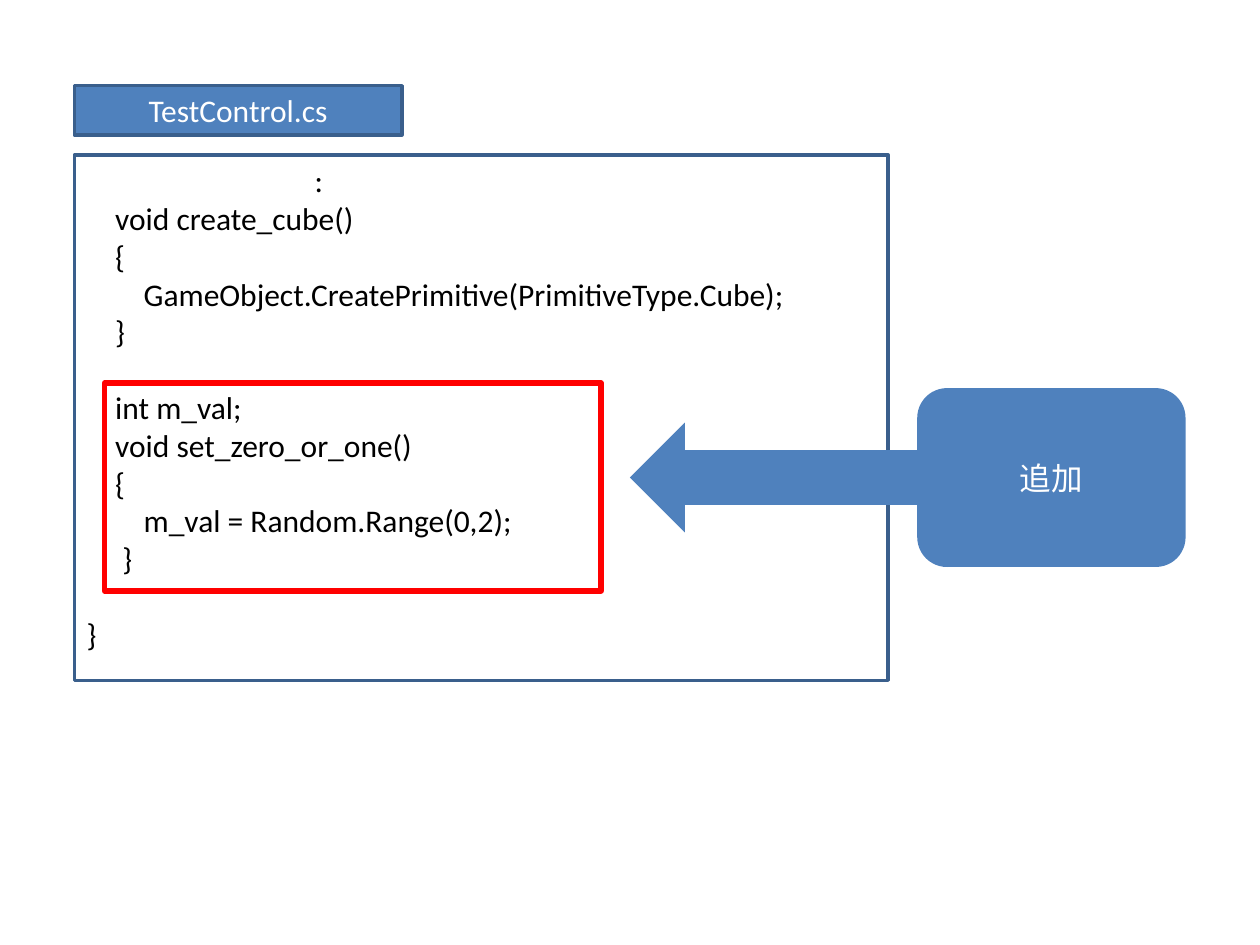
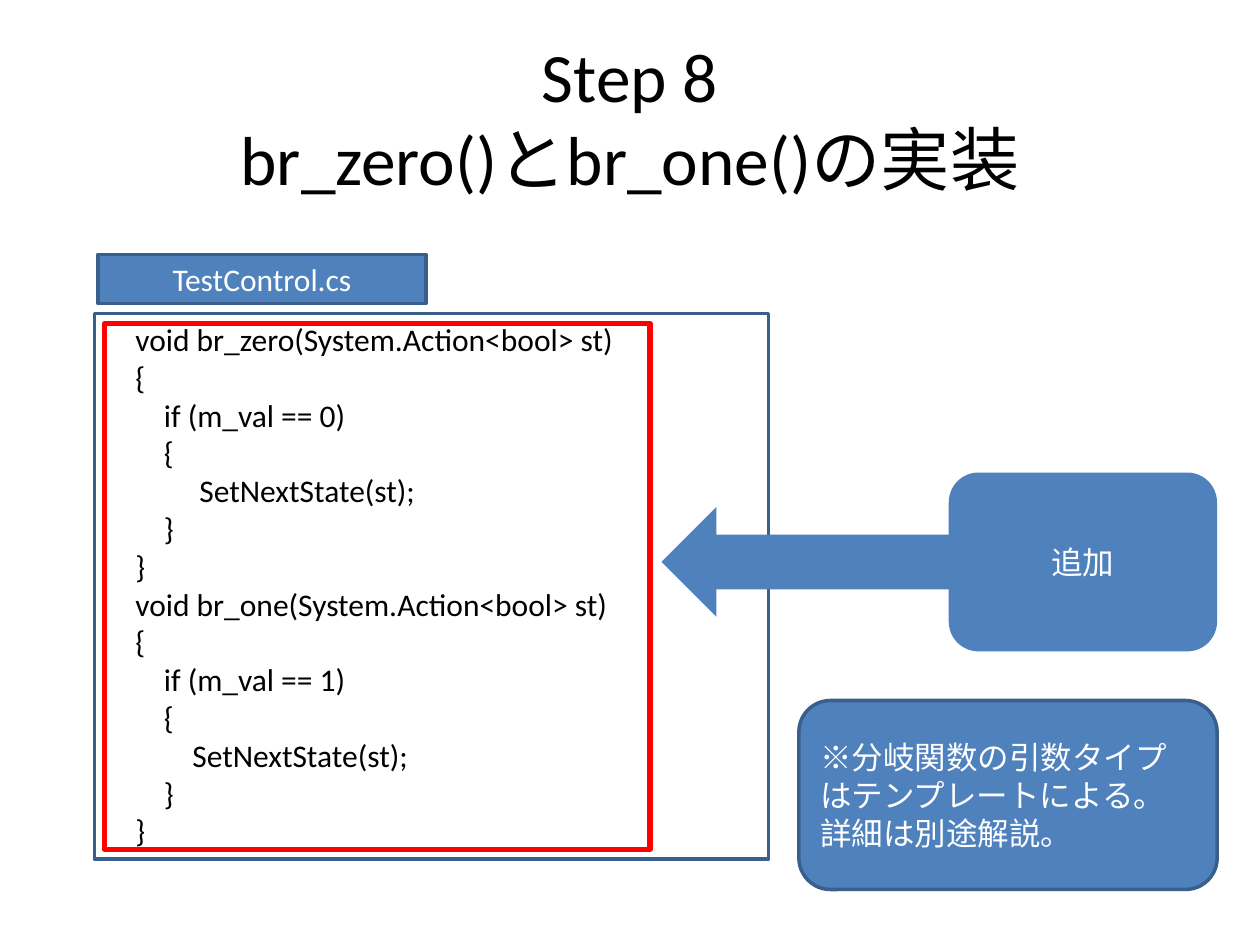
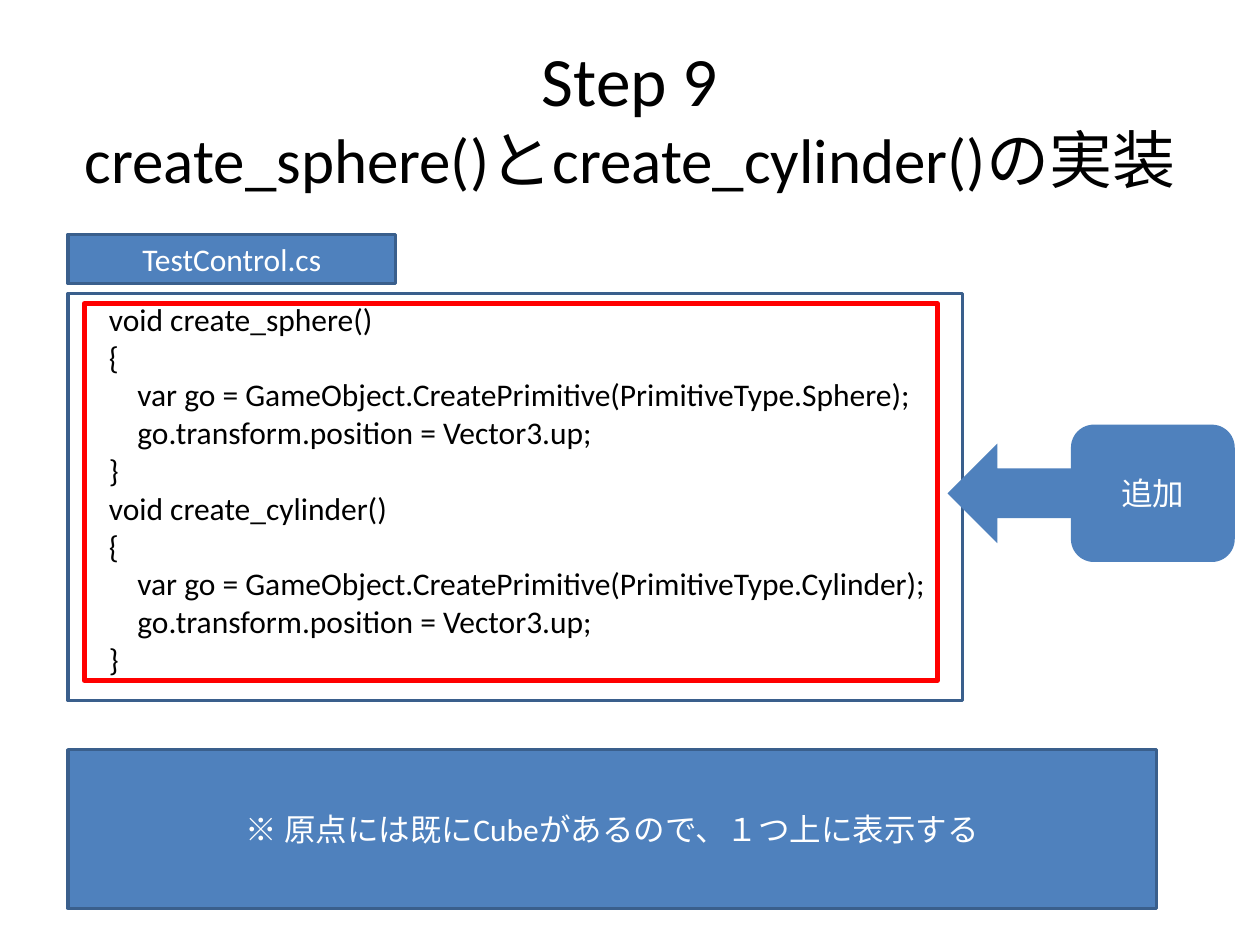
from dataclasses import dataclass
from typing import NamedTuple, Optional

from pptx import Presentation
from pptx.dml.color import RGBColor
from pptx.enum.shapes import MSO_SHAPE as Preset
from pptx.enum.text import MSO_ANCHOR as Anchor, PP_ALIGN as Align
from pptx.shapes.autoshape import Shape
from pptx.slide import Slide
from pptx.text.text import _Paragraph as Paragraph
from pptx.util import Inches, Pt

BLUE = RGBColor(0x4F, 0x81, 0xBD)
DARK_BLUE = RGBColor(0x3A, 0x5F, 0x8C)
RED = RGBColor(0xFF, 0, 0)
BLACK = RGBColor(0, 0, 0)
WHITE = RGBColor(0xFF, 0xFF, 0xFF)

FONT = "Calibri"
BODY_SIZE = 18
TITLE_SIZE = 39.6
CODE_COLUMN = 0.0565
CODE_LINE = 21.6
FILE_NAME = "TestControl.cs"
ADDED = "追加"


class Box(NamedTuple):
    left: float
    top: float
    width: float
    height: float

    @property
    def middle(self) -> float:
        return self.top + self.height / 2


@dataclass(frozen=True)
class Look:
    fill: Optional[RGBColor] = None
    line: Optional[RGBColor] = None
    line_width: float = 2


PANEL = Look(line=DARK_BLUE)
HIGHLIGHT = Look(line=RED, line_width=3)
LABEL = Look(fill=BLUE, line=DARK_BLUE)
CALLOUT = Look(fill=BLUE)


@dataclass(frozen=True)
class Title:
    step: str
    subject: str
    subject_size: float = TITLE_SIZE


@dataclass(frozen=True)
class Note:
    box: Box
    preset: Preset
    lines: tuple[str, ...]
    align: Align


@dataclass(frozen=True)
class CodeStep:
    code: str
    panel: Box
    highlight: Box
    file_label: Box
    arrow_left: float
    arrow_width: float
    arrow_height: float
    callout: Box
    title: Optional[Title] = None
    note: Optional[Note] = None


STEPS = (
    CodeStep(
        code="""\
                                :
    void create_cube()
    {
        GameObject.CreatePrimitive(PrimitiveType.Cube);
    }

    int m_val;
    void set_zero_or_one()
    {
        m_val = Random.Range(0,2);
     }

}""",
        panel=Box(0.59, 1.23, 6.46, 4.17),
        highlight=Box(0.83, 3.04, 3.94, 1.65),
        file_label=Box(0.59, 0.68, 2.6, 0.39),
        arrow_left=5,
        arrow_width=2.44,
        arrow_height=0.87,
        callout=Box(7.28, 3.08, 2.13, 1.42),
    ),
    CodeStep(
        title=Title("Step 8", "br_zero()とbr_one()の実装"),
        code="""\
    void br_zero(System.Action<bool> st)
    {
        if (m_val == 0)
        {
             SetNextState(st);
        }
    }
    void br_one(System.Action<bool> st)
    {
        if (m_val == 1)
        {
            SetNextState(st);
        }
    }""",
        panel=Box(0.75, 2.49, 5.35, 4.33),
        highlight=Box(0.83, 2.57, 4.33, 4.17),
        file_label=Box(0.78, 2.02, 2.6, 0.39),
        arrow_left=5.25,
        arrow_width=2.44,
        arrow_height=0.87,
        callout=Box(7.53, 3.75, 2.13, 1.42),
        note=Note(
            Box(6.34, 5.56, 3.32, 1.5),
            Preset.ROUNDED_RECTANGLE,
            ("※分岐関数の引数タイプはテンプレートによる。", "詳細は別途解説。"),
            Align.LEFT,
        ),
    ),
    CodeStep(
        title=Title("Step 9", "create_sphere()とcreate_cylinder()の実装", 36),
        code="""\
    void create_sphere()
    {
        var go = GameObject.CreatePrimitive(PrimitiveType.Sphere);
        go.transform.position = Vector3.up;
    }
    void create_cylinder()
    {
        var go = GameObject.CreatePrimitive(PrimitiveType.Cylinder);
        go.transform.position = Vector3.up;
    }""",
        panel=Box(0.54, 2.33, 7.1, 3.23),
        highlight=Box(0.67, 2.41, 6.77, 2.99),
        file_label=Box(0.54, 1.86, 2.6, 0.39),
        arrow_left=7.52,
        arrow_width=1.49,
        arrow_height=0.79,
        callout=Box(8.5, 3.37, 1.3, 1.09),
        note=Note(
            Box(0.54, 5.95, 8.64, 1.26),
            Preset.RECTANGLE,
            ("※ 原点には既にCubeがあるので、１つ上に表示する",),
            Align.CENTER,
        ),
    ),
)


def set_font(paragraph: Paragraph, size: float, color: RGBColor, align: Align) -> None:
    paragraph.alignment = align
    paragraph.font.name = FONT
    paragraph.font.size = Pt(size)
    paragraph.font.color.rgb = color


def add_preset(slide: Slide, preset: Preset, box: Box, look: Look) -> Shape:
    shape = slide.shapes.add_shape(preset, *map(Inches, box))
    shape.shadow.inherit = False
    if look.fill is None:
        shape.fill.background()
    else:
        shape.fill.solid()
        shape.fill.fore_color.rgb = look.fill
    if look.line is None:
        shape.line.fill.background()
    else:
        shape.line.color.rgb = look.line
        shape.line.width = Pt(look.line_width)
    return shape


def write_lines(shape: Shape, lines: tuple[str, ...], align: Align = Align.CENTER) -> None:
    frame = shape.text_frame
    frame.word_wrap = True
    frame.vertical_anchor = Anchor.MIDDLE
    frame.text = "\n".join(lines)
    for paragraph in frame.paragraphs:
        set_font(paragraph, BODY_SIZE, WHITE, align)


def write_code(shape: Shape, code: str) -> None:
    frame = shape.text_frame
    frame.word_wrap = True
    frame.vertical_anchor = Anchor.TOP
    paragraph = frame.paragraphs[0]
    skipped = 0
    for line in code.splitlines():
        statement = line.lstrip()
        if not statement:
            skipped += 1
            continue
        if paragraph.text:
            paragraph = frame.add_paragraph()
        paragraph.text = statement
        set_font(paragraph, BODY_SIZE, BLACK, Align.LEFT)
        columns = len(line) - len(statement)
        paragraph._p.get_or_add_pPr().set("marL", str(Inches(columns * CODE_COLUMN)))
        if skipped:
            paragraph.space_before = Pt(skipped * CODE_LINE)
        skipped = 0


def add_title(slide: Slide, title: Title) -> None:
    heading = slide.shapes.add_textbox(*map(Inches, Box(0.5, 0.3, 9, 1.25)))
    frame = heading.text_frame
    frame.word_wrap = True
    frame.vertical_anchor = Anchor.MIDDLE
    paragraph = frame.paragraphs[0]
    set_font(paragraph, TITLE_SIZE, BLACK, Align.CENTER)
    paragraph.add_run().text = title.step
    paragraph.add_line_break()
    subject = paragraph.add_run()
    subject.text = title.subject
    if title.subject_size != TITLE_SIZE:
        subject.font.size = Pt(title.subject_size)


def add_step(slide: Slide, step: CodeStep) -> None:
    if step.title:
        add_title(slide, step.title)
    write_code(add_preset(slide, Preset.RECTANGLE, step.panel, PANEL), step.code)
    add_preset(slide, Preset.RECTANGLE, step.highlight, HIGHLIGHT)
    write_lines(add_preset(slide, Preset.RECTANGLE, step.file_label, LABEL), (FILE_NAME,))
    arrow_top = step.callout.middle - step.arrow_height / 2
    arrow = Box(step.arrow_left, arrow_top, step.arrow_width, step.arrow_height)
    add_preset(slide, Preset.LEFT_ARROW, arrow, CALLOUT)
    write_lines(add_preset(slide, Preset.ROUNDED_RECTANGLE, step.callout, CALLOUT), (ADDED,))
    if step.note:
        note = add_preset(slide, step.note.preset, step.note.box, LABEL)
        write_lines(note, step.note.lines, step.note.align)


def main() -> None:
    deck = Presentation()
    deck.slide_width = Inches(10)
    deck.slide_height = Inches(7.5)
    blank = deck.slide_layouts[6]
    for step in STEPS:
        add_step(deck.slides.add_slide(blank), step)
    deck.save("out.pptx")


if __name__ == "__main__":
    main()
